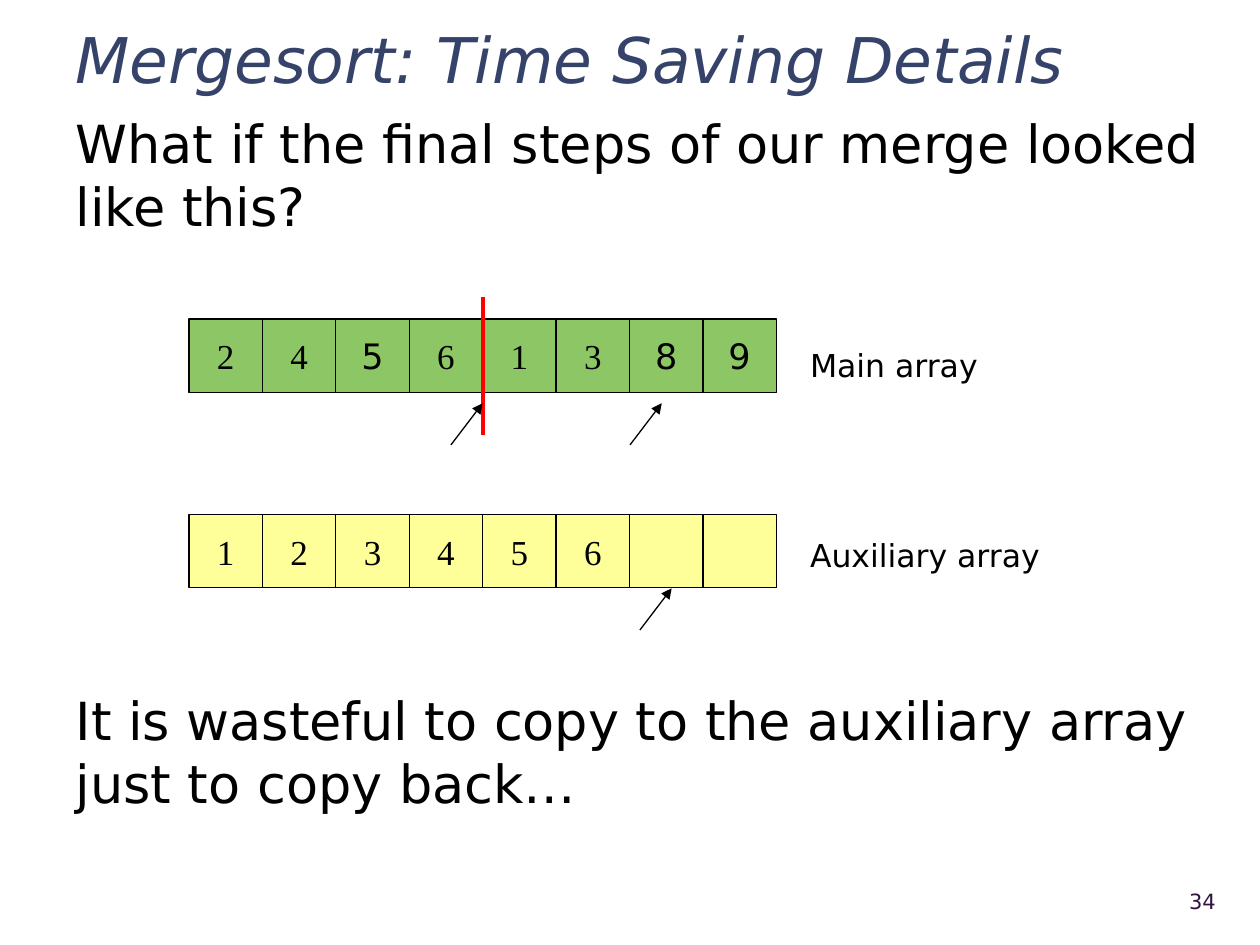
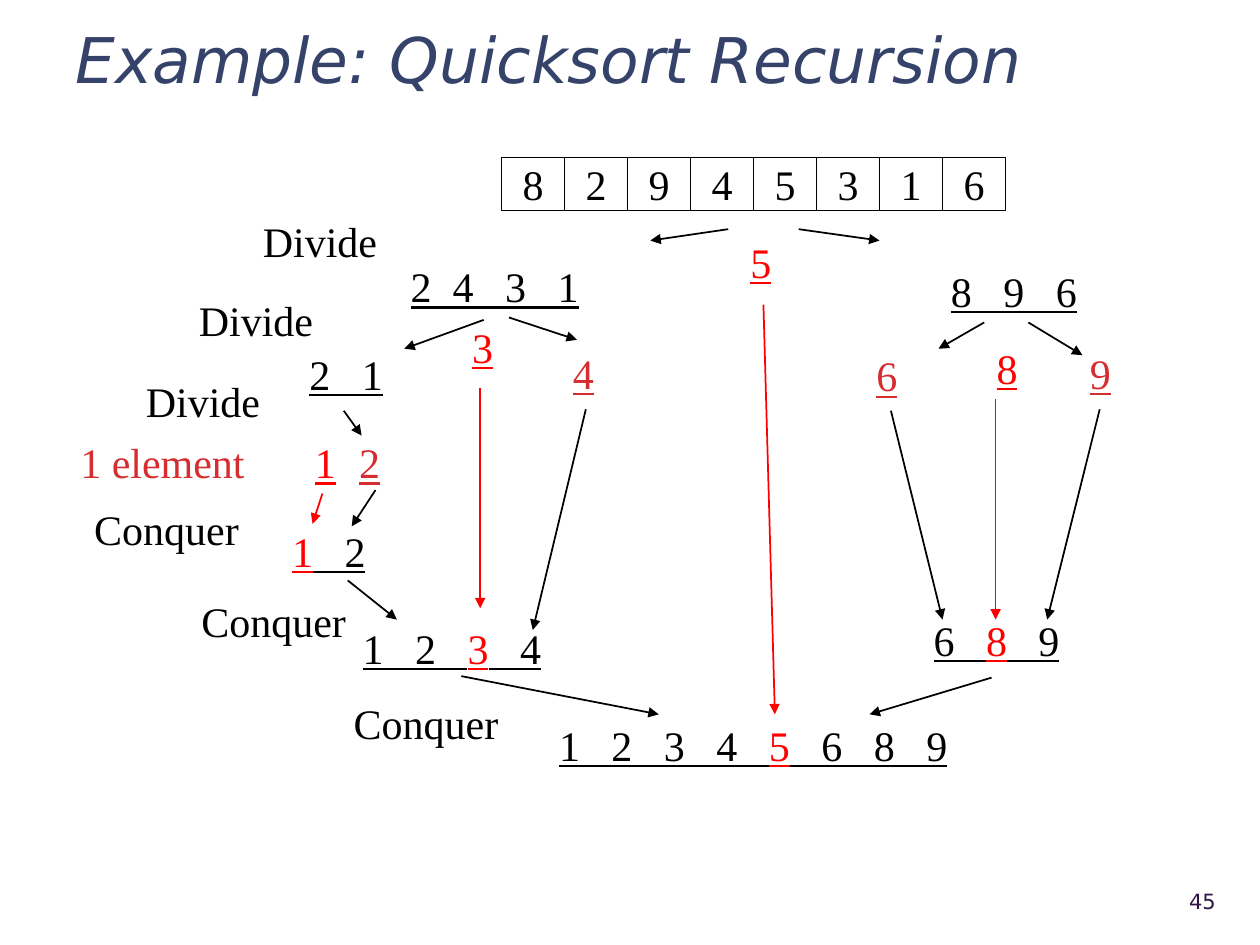
from pptx import Presentation
from pptx.dml.color import RGBColor
from pptx.enum.shapes import MSO_CONNECTOR as CONN, MSO_SHAPE as SHAPE
from pptx.enum.text import MSO_ANCHOR as ANCHOR, MSO_AUTO_SIZE as FIT, PP_ALIGN as ALIGN
from pptx.oxml.ns import qn
from pptx.util import Cm, Pt
from lxml.etree import SubElement

SANS, SERIF = "DejaVu Sans", "Times New Roman"
BLACK, RED, CRIMSON = "000000", "FF0000", "D62D31"
NAVY, PLUM = "35436A", "2F1343"
GREEN, YELLOW = "8DC765", "FFFF99"
TITLE_LAYOUT = {"list": 1, "plain": 5}


def rgb(value):
    return RGBColor.from_string(value)


def style(p, size, font=SERIF, color=BLACK, italic=False, underline=False):
    for r in p.runs:
        r.font.size, r.font.name = Pt(size), font
        r.font.color.rgb = rgb(color)
        r.font.italic, r.font.underline = italic, underline


def place(sp, left, top, width, height):
    sp.left, sp.top, sp.width, sp.height = map(Cm, (left, top, width, height))


# Shared parts
def new_slide(prs, kind, title, number):
    s = prs.slides.add_slide(prs.slide_layouts[TITLE_LAYOUT[kind]])
    place(s.shapes.title, 1.27, 0.43, 23.5, 1.35)
    tf = s.shapes.title.text_frame
    tf.text, tf.auto_size, tf.vertical_anchor = title, FIT.NONE, ANCHOR.MIDDLE
    p = tf.paragraphs[0]
    p.alignment, p.line_spacing = ALIGN.LEFT, 1.1
    style(p, 36, SANS, NAVY, italic=True)

    tf = text_box(s, 22.58, 17.65, 2.18, 1.02, str(number))
    tf.vertical_anchor = ANCHOR.MIDDLE
    tf.paragraphs[0].alignment = ALIGN.RIGHT
    style(tf.paragraphs[0], 12, SANS, PLUM)
    return s


def text_box(s, left, top, width, height, text):
    tf = s.shapes.add_textbox(*map(Cm, (left, top, width, height))).text_frame
    tf.text, tf.word_wrap = text, True
    return tf


def line(s, x1, y1, x2, y2, color=BLACK, weight=1, arrow=True):
    c = s.shapes.add_connector(CONN.STRAIGHT, *map(Cm, (x1, y1, x2, y2)))
    c.line.color.rgb, c.line.width = rgb(color), Pt(weight)
    if arrow:
        SubElement(c.line._get_or_add_ln(), qn("a:tailEnd"), type="triangle")
    SubElement(c._element.spPr, qn("a:effectLst"))


def array_row(s, left, top, width, height, values, size, fill=None, sans=()):
    """Draw one row of cells; values listed in sans use the sans font."""
    for i, value in enumerate(values):
        box = map(Cm, (left + i * width, top, width, height))
        sp = s.shapes.add_shape(SHAPE.RECTANGLE, *box)
        sp.shadow.inherit = False
        if fill:
            sp.fill.solid()
            sp.fill.fore_color.rgb = rgb(fill)
        else:
            sp.fill.background()
        sp.line.color.rgb, sp.line.width = rgb(BLACK), Pt(0.75)
        if value:
            tf = sp.text_frame
            tf.text, tf.word_wrap, tf.vertical_anchor = value, False, ANCHOR.MIDDLE
            p = tf.paragraphs[0]
            p.alignment = ALIGN.CENTER
            style(p, size, SANS if value in sans else SERIF)


# Mergesort slide
def question_and_remark(s, left, top, width, height):
    body = s.placeholders[1]
    place(body, left, top, width, height)
    tf = body.text_frame
    tf.auto_size = FIT.NONE
    tf.text = ("What if the final steps of our merge looked like this?\n"
               "It is wasteful to copy to the auxiliary array just to copy back…")
    for p, gap in zip(tf.paragraphs, (0, 258)):
        p.space_before = Pt(gap)
        pPr = p._p.get_or_add_pPr()
        pPr.set("marL", "0")
        pPr.set("indent", "0")
        SubElement(pPr, qn("a:buNone"))
        style(p, 30, SANS)


def merge_arrays(s, left, top):
    cell, aux_top = 1.48, top + 3.94

    def pointer(x, y):
        line(s, x, y, x + 0.64, y - 0.84, weight=0.75)

    array_row(s, left, top, cell, cell, "24561389", 20, GREEN, sans="589")
    middle = left + 4 * cell
    line(s, middle, top - 0.44, middle, top + 2.33, RED, 2.25, arrow=False)
    pointer(left + 5.28, top + 2.54)
    pointer(left + 8.89, top + 2.54)

    array_row(s, left, aux_top, cell, cell, [*"123456", "", ""], 20, YELLOW)
    pointer(left + 9.09, aux_top + 2.33)

    tf = text_box(s, left + 12.27, top + 0.43, 6.35, 4.88,
                  "Main array\nAuxiliary array")
    for p, gap in zip(tf.paragraphs, (0, 86.5)):
        p.space_before = Pt(gap)
        style(p, 18, SANS)


# Quicksort slide
STEP_WIDTH = {"Divide": 3.1, "Conquer": 3.7, "1 element": 4.2}
STEPS = [("Divide", 3.78, 1.04), ("Divide", 2.49, 2.64), ("Divide", 1.42, 4.27),
         ("1 element", 0.1, 5.51), ("Conquer", 0.38, 6.86),
         ("Conquer", 2.54, 8.71), ("Conquer", 5.61, 10.77)]
# values, pivot, x, y
PARTS = [("2  4   3   1", "", 6.76, 1.96), ("8   9   6", "", 17.65, 2.06),
         ("2   1", "", 4.72, 3.73), ("5", "5", 13.61, 1.47), ("3", "3", 8, 3.18),
         ("8", "8", 18.57, 3.61), ("1", "1", 4.83, 5.51),
         ("1   2", "1", 4.37, 7.29), ("1   2   3   4", "3", 5.79, 9.25),
         ("6   8   9", "8", 17.3, 9.09),
         ("1   2   3   4   5   6   8   9", "5", 9.75, 11.2)]
SINGLES = [("2", 5.72, 5.51), ("4", 10.03, 3.71), ("6", 16.15, 3.76), ("9", 20.45, 3.71)]
DIVIDE_ARROWS = [(13.41, 1.45, 11.84, 1.68), (14.83, 1.45, 16.46, 1.68),
                 (8.48, 3.28, 6.88, 3.86), (8.99, 3.23, 10.36, 3.68),
                 (18.57, 3.33, 17.65, 3.86), (19.46, 3.33, 20.55, 3.99),
                 (5.66, 5.11, 6.02, 5.61)]
CONQUER_ARROWS = [(6.3, 6.71, 5.82, 7.44), (5.74, 8.53, 6.73, 9.32),
                  (10.54, 5.08, 9.47, 9.53), (16.69, 5.11, 17.73, 9.32),
                  (20.9, 5.08, 19.84, 9.32), (8.03, 10.46, 12.01, 11.23),
                  (18.72, 10.49, 16.26, 11.23)]
PIVOT_ARROWS = [(5.23, 6.78, 5.03, 7.39), (8.41, 4.65, 8.41, 9.09),
                (14.12, 2.97, 14.35, 11.23), (18.8, 4.88, 18.8, 9.32)]


def values_box(s, left, top, values, color=BLACK, pivot=""):
    """Underlined values, with the pivot in red."""
    width = 0.9 + sum(0.22 if ch == " " else 0.43 for ch in values)
    tf = text_box(s, left, top, width, 1.27, "" if pivot else values)
    p = tf.paragraphs[0]
    if pivot:
        for piece in filter(None, values.partition(pivot)):
            p.add_run().text = piece
    style(p, 24, color=color, underline=True)
    for r in p.runs:
        if r.text == pivot:
            r.font.color.rgb = rgb(RED)


def step_labels(s, left, top):
    for name, x, y in STEPS:
        tf = text_box(s, left + x, top + y, STEP_WIDTH[name], 1.27, name)
        style(tf.paragraphs[0], 24, color=CRIMSON if name == "1 element" else BLACK)


def recursion_tree(s, left, top):
    array_row(s, left + 8.84, top, 1.27, 1.07, "82945316", 24)
    for values, pivot, x, y in PARTS:
        values_box(s, left + x, top + y, values, pivot=pivot)
    for value, x, y in SINGLES:
        values_box(s, left + x, top + y, value, CRIMSON)
    for arrows, color in ((DIVIDE_ARROWS + CONQUER_ARROWS, BLACK), (PIVOT_ARROWS, RED)):
        for x1, y1, x2, y2 in arrows:
            line(s, left + x1, top + y1, left + x2, top + y2, color)


def main():
    prs = Presentation()
    prs.slide_width, prs.slide_height = Cm(25.4), Cm(19.05)

    s = new_slide(prs, "list", "Mergesort: Time Saving Details", 34)
    question_and_remark(s, 1.27, 2.11, 23.5, 15.24)
    merge_arrays(s, 3.81, 6.43)

    s = new_slide(prs, "plain", "Example: Quicksort Recursion", 45)
    step_labels(s, 1.27, 3.17)
    recursion_tree(s, 1.27, 3.17)

    prs.save("out.pptx")


if __name__ == "__main__":
    main()
